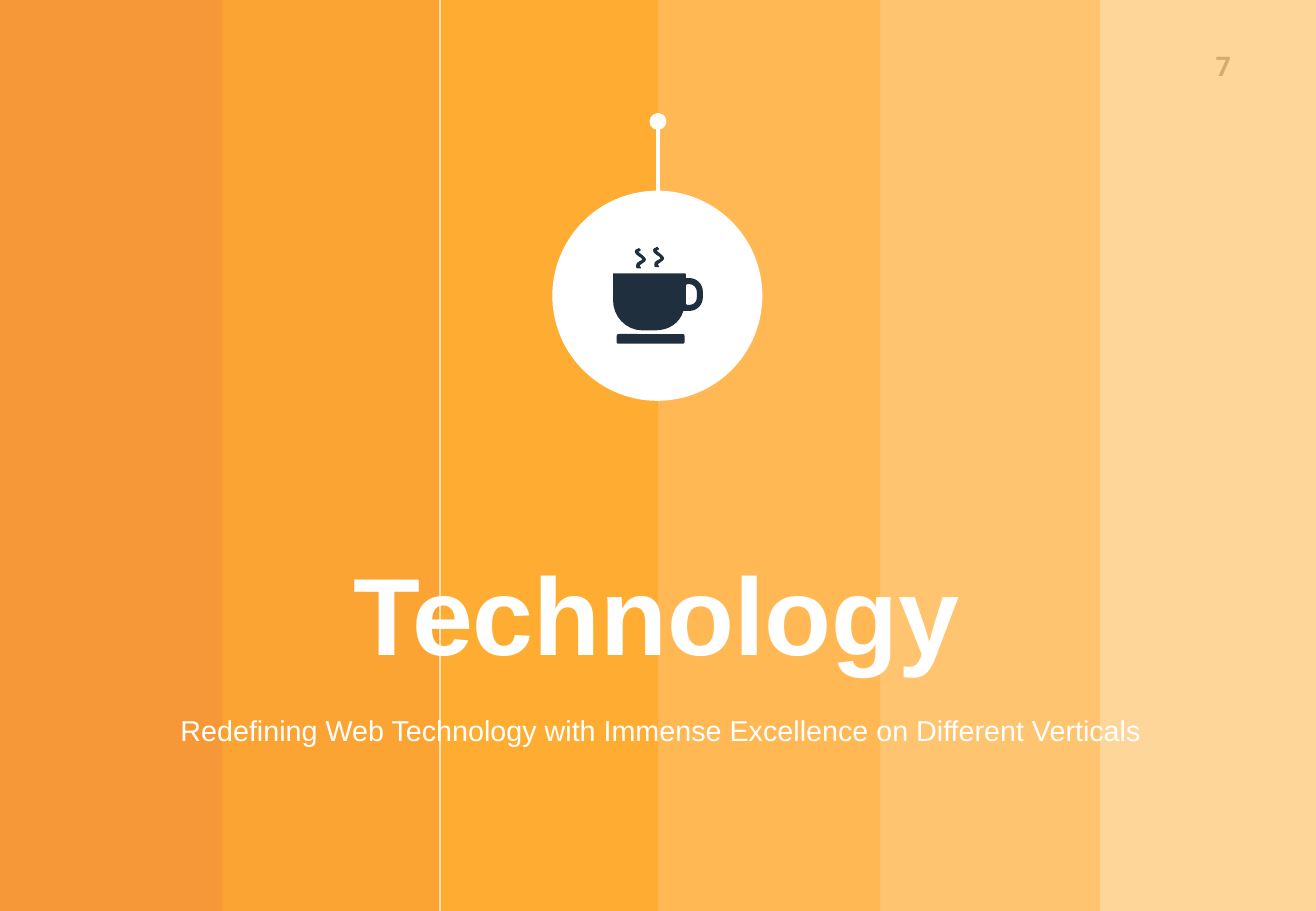
import dataclasses

import lxml.etree
import pptx
import pptx.dml.color
import pptx.enum.dml
import pptx.enum.shapes
import pptx.enum.text
import pptx.oxml.ns
import pptx.shapes.autoshape
import pptx.shapes.base
import pptx.slide
import pptx.util

PX = 9144  # EMU per px, 100 px to the inch
WIDE, HIGH = 1084, 750

COLORS = {
    "white": "FFFFFF",
    "navy": "202F3E",
    "rust": "F67C01",
    "orange": "FB8C00",
    "amber": "FF9800",
    "honey": "FFA728",
    "peach": "FFB64D",
    "cream": "FFCC80",
}

KIND = pptx.enum.shapes.MSO_SHAPE
ALIGN = pptx.enum.text.PP_ALIGN
ANCHOR = pptx.enum.text.MSO_ANCHOR
qn = pptx.oxml.ns.qn

# A step is a line (x, y) or a curve (x1, y1, x2, y2, x, y)
Step = tuple[int, ...]


@dataclasses.dataclass
class Box:
    left: int
    top: int
    width: int
    height: int

    def emu(self) -> tuple[int, int, int, int]:
        return self.left * PX, self.top * PX, self.width * PX, self.height * PX


@dataclasses.dataclass
class Stripe:
    left: int
    width: int
    color: str
    alpha: int = 80


STRIPES = [
    Stripe(0, 183, "rust", 78),
    Stripe(183, 179, "orange"),
    Stripe(363, 179, "amber"),
    Stripe(542, 183, "honey"),
    Stripe(725, 181, "peach"),
    Stripe(906, 179, "cream"),
]

BOWL: list[Step] = [
    (568, 229), (565, 229), (565, 227), (565, 225, 565, 225, 563, 225),
    (505, 225), (505, 247), (505, 261, 516, 272, 529, 272), (540, 272),
    (551, 272, 560, 266, 563, 256), (568, 256),
    (574, 256, 579, 251, 579, 245), (579, 240),
    (579, 234, 574, 229, 568, 229),
]
HOLE: list[Step] = [
    (574, 245), (574, 249, 571, 251, 568, 251), (566, 251), (565, 250),
    (565, 235), (566, 234), (568, 234), (571, 234, 574, 237, 574, 240),
]
STEAM: list[Step] = [
    (526, 221), (524, 221, 524, 220, 524, 219),
    (524, 217, 525, 216, 527, 215), (529, 214),
    (529, 213, 528, 212, 526, 211), (525, 210, 523, 209, 523, 207),
    (523, 206, 524, 205, 525, 205), (526, 204, 527, 204, 527, 205),
    (528, 205, 528, 206, 527, 207), (526, 207),
    (526, 208, 528, 209, 528, 209), (530, 211, 532, 212, 532, 214),
    (531, 216, 530, 216, 529, 217), (528, 218, 527, 218, 527, 219),
    (528, 220, 528, 221, 528, 221), (526, 221),
]


def tint(name: str) -> pptx.dml.color.RGBColor:
    return pptx.dml.color.RGBColor.from_string(COLORS[name])


def paint(shape: pptx.shapes.autoshape.Shape, color: str, alpha: int = 100) -> None:
    shape.shadow.inherit = False
    shape.line.fill.background()
    shape.fill.solid()
    shape.fill.fore_color.rgb = tint(color)
    if alpha < 100:
        tone = shape.fill._xPr.find(qn("a:solidFill"))[0]
        lxml.etree.SubElement(tone, qn("a:alpha"), val=str(alpha * 1000))


def draw(slide: pptx.slide.Slide, kind: KIND, box: Box, color: str,
         alpha: int = 100) -> pptx.shapes.autoshape.Shape:
    shape = slide.shapes.add_shape(kind, *box.emu())
    paint(shape, color, alpha)
    return shape


def trace(steps: list[Step], shift: tuple[int, int], parts: int = 8) -> list[tuple[int, int]]:
    """Turn lines and curves into a run of points in EMU."""
    points = [steps[0]]
    for step in steps[1:]:
        if len(step) == 2:
            points.append(step)
            continue
        knots = (points[-1], step[:2], step[2:4], step[4:])
        for i in range(1, parts + 1):
            t = i / parts
            mix = ((1 - t) ** 3, 3 * t * (1 - t) ** 2, 3 * t * t * (1 - t), t ** 3)
            points.append(tuple(sum(m * k[axis] for m, k in zip(mix, knots))
                                for axis in (0, 1)))
    return [(round((x + shift[0]) * PX), round((y + shift[1]) * PX)) for x, y in points]


def form(slide: pptx.slide.Slide, loops: list[list[Step]], color: str,
         shift: tuple[int, int] = (0, 0)) -> None:
    first, *rest = [trace(loop, shift) for loop in loops]
    pen = slide.shapes.build_freeform(*first[0])
    pen.add_line_segments(first[1:], close=True)
    for points in rest:
        pen.move_to(*points[0])
        pen.add_line_segments(points[1:], close=True)
    paint(pen.convert_to_shape(), color)


def write(shape: pptx.shapes.base.BaseShape, text: str, *, size: int,
          color: str = "white", font: str = "Arial", bold: bool = False,
          align: ALIGN = ALIGN.CENTER, anchor: ANCHOR = ANCHOR.TOP,
          space: float = 1.0, inset: int = 10) -> None:
    frame = shape.text_frame
    frame.word_wrap = True
    frame.auto_size = pptx.enum.text.MSO_AUTO_SIZE.NONE
    frame.vertical_anchor = anchor
    frame.margin_left, frame.margin_right = inset * PX, 10 * PX
    frame.margin_top = frame.margin_bottom = 5 * PX
    frame.text = text
    line = frame.paragraphs[0]
    line.alignment = align
    line.line_spacing = space
    face = line.runs[0].font
    face.name, face.size, face.bold = font, pptx.util.Pt(size), bold
    face.color.rgb = tint(color)


def main() -> None:
    deck = pptx.Presentation()
    deck.slide_width, deck.slide_height = WIDE * PX, HIGH * PX
    slide = deck.slides.add_slide(deck.slide_layouts[5])
    shapes = slide.shapes

    # Page number, seen through the last stripe
    page = shapes.add_textbox(*Box(968, 36, 56, 40).emu())
    write(page, "7", size=16, color="navy", font="Roboto", bold=True, align=ALIGN.RIGHT)

    # Background stripes
    for band in STRIPES:
        draw(slide, KIND.RECTANGLE, Box(band.left, -5, band.width, 757),
             band.color, band.alpha)

    # Title, raised above the stripes
    title = shapes.title
    title.left, title.top, title.width, title.height = Box(54, 375, 974, 189).emu()
    write(title, "Technology", size=65, bold=True, anchor=ANCHOR.BOTTOM, space=0.9)
    shapes.element.append(title.element)

    # Tagline
    tag = shapes.add_textbox(*Box(55, 585, 974, 39).emu())
    write(tag, "Redefining Web Technology with Immense Excellence on Different Verticals",
          size=17, space=0.9, inset=15)

    # Cup on a round badge
    draw(slide, KIND.OVAL, Box(455, 157, 173, 173), "white")
    form(slide, [BOWL, HOLE], "navy")
    dish = draw(slide, KIND.ROUNDED_RECTANGLE, Box(508, 275, 56, 8), "navy")
    dish.adjustments[0] = 0.2
    for shift in ((0, 0), (15, -1)):
        form(slide, [STEAM], "navy", shift)

    # Cord with a round end
    cord = shapes.add_connector(pptx.enum.shapes.MSO_CONNECTOR.STRAIGHT,
                                542 * PX, 100 * PX, 542 * PX, 164 * PX)
    cord.line.width = pptx.util.Pt(2)
    cord.line.color.rgb = tint("white")
    lxml.etree.SubElement(cord.line._get_or_add_ln(), qn("a:headEnd"),
                          type="oval", w="lg", len="lg")
    lxml.etree.SubElement(cord.element.spPr, qn("a:effectLst"))

    deck.save("out.pptx")


if __name__ == "__main__":
    main()
